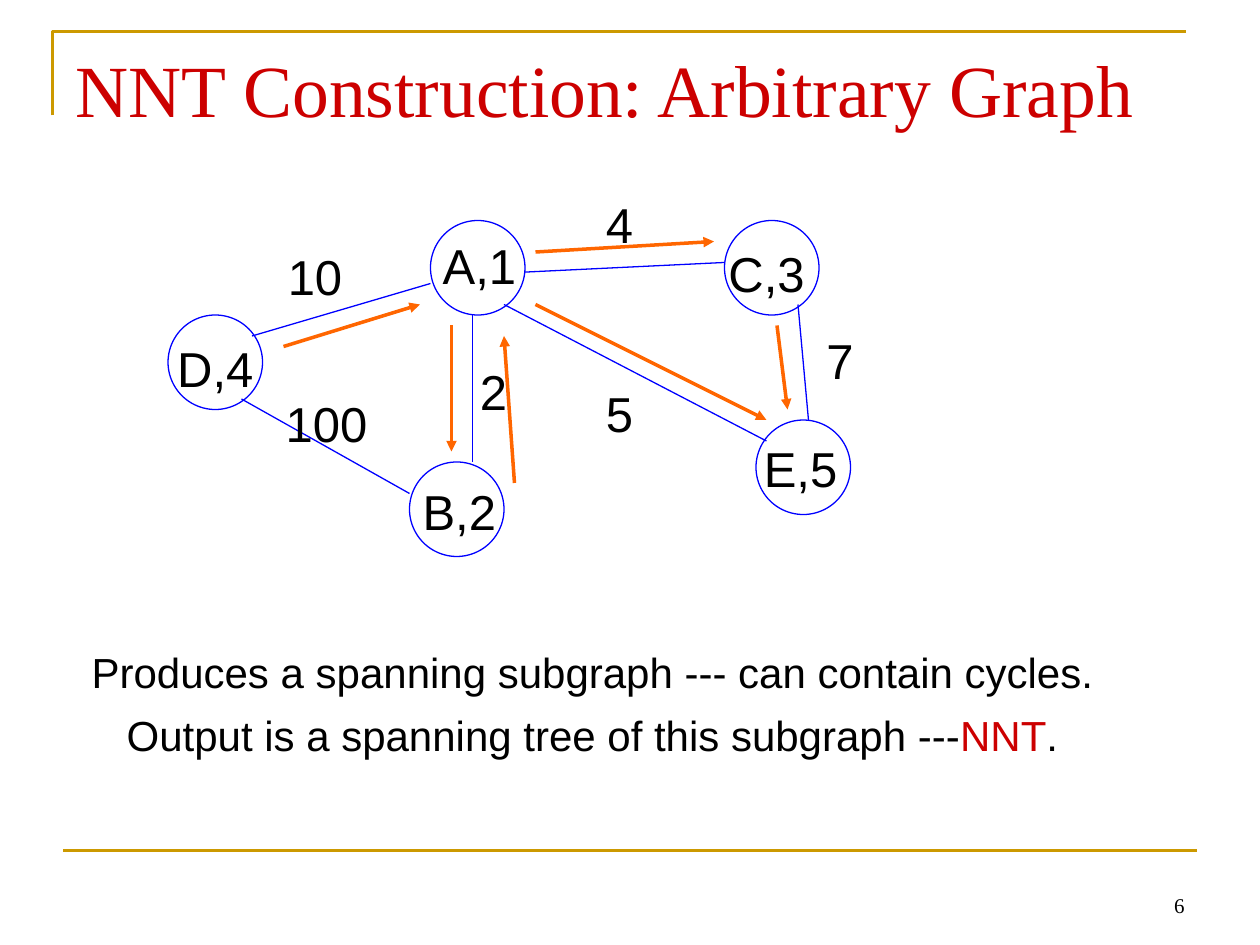
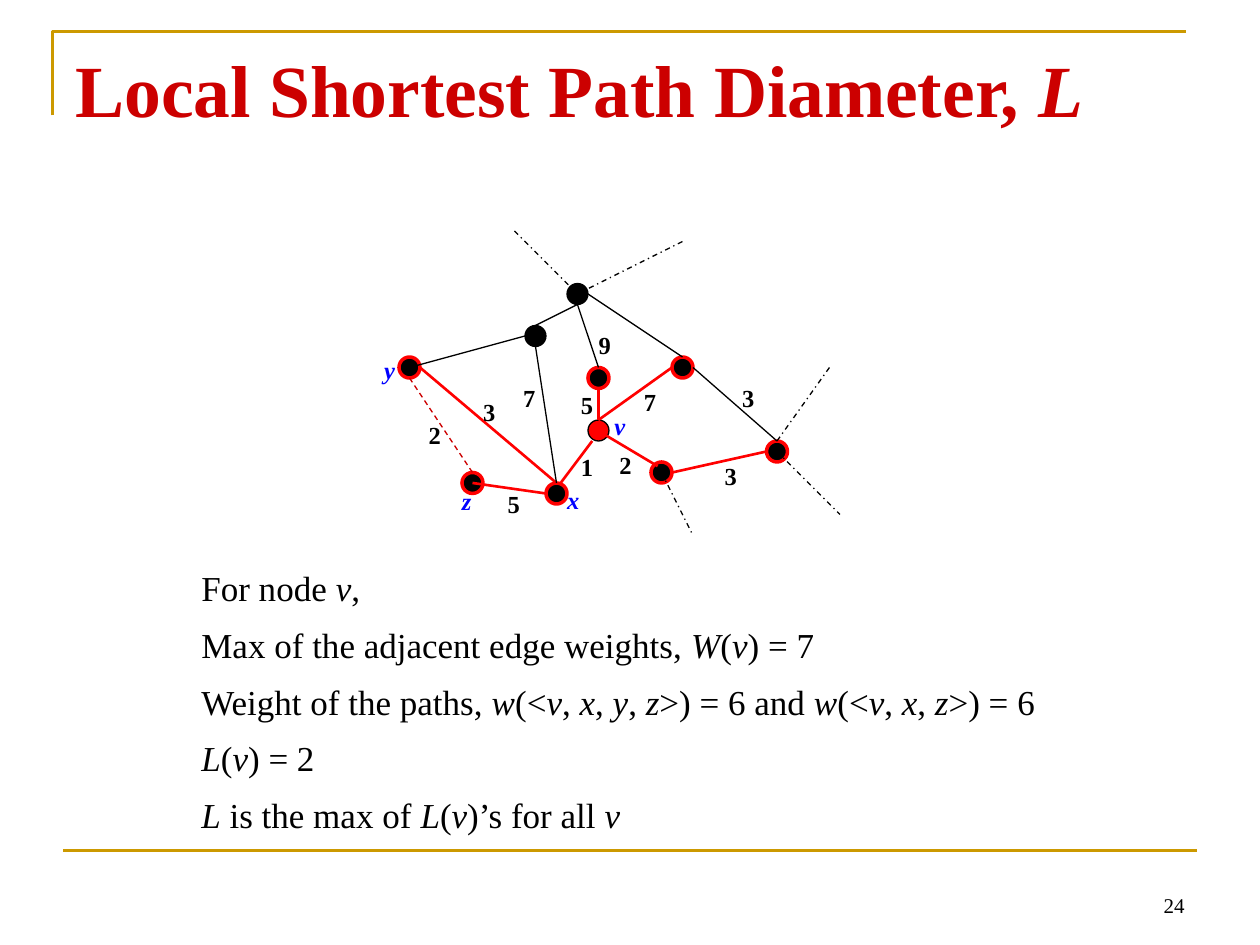
import pptx
import pptx.dml.color
import pptx.enum.dml
import pptx.enum.shapes
import pptx.enum.text
import pptx.oxml.ns
import pptx.util
from lxml import etree

Pt = pptx.util.Pt
ALIGN = pptx.enum.text.PP_ALIGN
ANCHOR = pptx.enum.text.MSO_ANCHOR
DASH = pptx.enum.dml.MSO_LINE
SERIF, SANS = "Times New Roman", "Arial"
BLACK, BLUE, RED = "000000", "0000FF", "FF0000"
GOLD, CRIMSON, ORANGE = "CC9900", "CC0000", "FF6600"


def rgb(code):
    """Turn a hex string into a colour."""
    return pptx.dml.color.RGBColor.from_string(code)


def add_text(slide, box, text, size=14, font=SERIF, color=BLACK, bold=False, italic=False,
             align=ALIGN.LEFT, anchor=ANCHOR.TOP, margins=(7.2, 3.6), wrap=True,
             gap=0, spacing=1.0, emphasis=None):
    """Place text line by line in a box, giving parts between asterisks the emphasis format."""
    frame = slide.shapes.add_textbox(*map(Pt, box)).text_frame
    frame.word_wrap, frame.vertical_anchor = wrap, anchor
    frame.margin_left = frame.margin_right = Pt(margins[0])
    frame.margin_top = frame.margin_bottom = Pt(margins[1])
    for row, line in enumerate(text.split("\n")):
        paragraph = frame.add_paragraph() if row else frame.paragraphs[0]
        paragraph.alignment, paragraph.line_spacing = align, spacing
        paragraph.space_before = Pt(gap if row else 0)
        for part, words in enumerate(line.split("*")):
            if not words:
                continue
            style = {"color": color, "italic": italic}
            if part % 2:
                style.update(emphasis or {"italic": True})
            run = paragraph.add_run()
            run.text = words
            run.font.name, run.font.size = font, Pt(size)
            run.font.bold, run.font.italic = bold, style["italic"]
            run.font.color.rgb = rgb(style["color"])


def add_line(slide, origin, ends, color, width=0.75, dash=None, arrow=False):
    """Draw a straight line between two points measured from the origin."""
    left, top = origin
    x1, y1, x2, y2 = ends
    line = slide.shapes.add_connector(
        pptx.enum.shapes.MSO_CONNECTOR.STRAIGHT,
        Pt(left + x1), Pt(top + y1), Pt(left + x2), Pt(top + y2))
    line.line.color.rgb, line.line.width = rgb(color), Pt(width)
    if dash:
        line.line.dash_style = dash
    properties = line._element.spPr
    if arrow:
        etree.SubElement(line.line._get_or_add_ln(), pptx.oxml.ns.qn("a:tailEnd"), type="triangle")
    etree.SubElement(properties, pptx.oxml.ns.qn("a:effectLst"))


def add_node(slide, origin, place, size, outline, width=0.75, fill=None):
    """Draw a round graph node, hollow unless a fill is given."""
    node = slide.shapes.add_shape(
        pptx.enum.shapes.MSO_SHAPE.OVAL,
        Pt(origin[0] + place[0]), Pt(origin[1] + place[1]), Pt(size), Pt(size))
    node.shadow.inherit = False
    node.line.color.rgb, node.line.width = rgb(outline), Pt(width)
    if fill:
        node.fill.solid()
        node.fill.fore_color.rgb = rgb(fill)
    else:
        node.fill.background()


def add_framed_slide(deck, title, number, bold=False):
    """Add a slide with the gold rules, title and page number."""
    slide = deck.slides.add_slide(deck.slide_layouts[6])
    outline = slide.shapes.build_freeform(Pt(30), Pt(66))
    outline.add_line_segments([(Pt(30), Pt(18)), (Pt(678), Pt(18))], close=False)
    corner = outline.convert_to_shape()
    corner.shadow.inherit = False
    corner.fill.background()
    corner.line.color.rgb, corner.line.width = rgb(GOLD), Pt(1.5)
    add_line(slide, (36, 486), (0, 0, 648, 0), GOLD, 1.5)
    add_text(slide, (36, 21.6, 648, 90), title, size=42, color=CRIMSON, bold=bold)
    add_text(slide, (516, 492, 168, 36), number, size=12, align=ALIGN.RIGHT, anchor=ANCHOR.BOTTOM)
    return slide


def draw_ranked_graph(slide, origin):
    """Draw the five ranked nodes, their weighted edges and the chosen directions."""
    for place in [(0, 72), (150, 18), (138, 156), (318, 18), (336, 132)]:
        add_node(slide, origin, place, 54, BLUE)
    edges = [(48, 84, 150, 54), (204, 47.5, 318, 42), (42, 120, 138, 174),
             (360, 66, 366, 132), (174, 72, 174, 156), (192, 66, 342, 144)]
    for ends in edges:
        add_line(slide, origin, ends, BLUE)
    labels = [("A,1", 178, 43.5), ("B,2", 166.5, 184), ("C,3", 342, 48), ("D,4", 27, 102),
              ("E,5", 361.5, 159.5), ("10", 84, 49.5), ("100", 90.5, 133.5), ("4", 258, 20),
              ("7", 384, 97.5), ("5", 258, 128), ("2", 186, 115.5)]
    width, height = 84, 41
    for label, x, y in labels:
        box = (origin[0] + x - width / 2, origin[1] + y - height / 2, width, height)
        add_text(slide, box, label, size=28, font=SANS, align=ALIGN.CENTER,
                 anchor=ANCHOR.MIDDLE, wrap=False)
    directions = [(66, 90, 144, 66), (210, 66, 342, 132), (210, 36, 312, 30),
                  (348, 78, 354, 126), (198, 168, 192, 84), (162, 78, 162, 150)]
    for ends in directions:
        add_line(slide, origin, ends, ORANGE, 2, arrow=True)


def draw_path_graph(slide, origin):
    """Draw node v with its neighbourhood, shortest paths and edge weights."""
    add_node(slide, origin, (120, 108), 12, BLACK, fill=RED)
    for place in [(84, 54), (108, 30)]:
        add_node(slide, origin, place, 12, BLACK, fill=BLACK)
    reached = [(222, 120), (168, 72), (156, 132), (96, 144), (120, 78), (12, 72), (48, 138)]
    for place in reached:
        add_node(slide, origin, place, 12, RED, 2, BLACK)

    shortest = [(129.6, 116.4, 159.8, 134.4), (126, 108, 168, 78), (126, 90, 126, 108),
                (122.4, 120, 104.4, 144), (168, 138, 222, 126), (24, 78, 102, 144),
                (96, 150, 54, 144)]
    other = [(180, 78, 228, 120), (126, 78, 114, 42), (114, 42, 90, 54),
             (120, 36, 174, 72), (18, 78, 84, 60), (90, 66, 102, 144)]
    outward = [(162, 138, 180, 174), (228, 120, 258, 78), (228, 126, 264, 162),
               (174, 6, 114, 36), (78, 0, 114, 36)]
    skipped = [(18, 84, 54, 138)]
    for edges, color, width, dash in [(shortest, RED, 1.5, None), (other, BLACK, 0.75, None),
                                      (skipped, CRIMSON, 0.75, DASH.DASH),
                                      (outward, BLACK, 0.75, DASH.DASH_DOT)]:
        for ends in edges:
            add_line(slide, origin, ends, color, width, dash)

    weights = [("7", 152, 89), ("5", 116, 91), ("3", 208, 87), ("7", 83, 87), ("3", 60, 95),
               ("2", 29, 108), ("5", 74, 147.5), ("3", 198, 131.5), ("1", 116, 126.5),
               ("2", 138, 125), ("9", 126, 56.5)]
    names = [("v", 135, 103), ("x", 108, 145), ("z", 48, 146), ("y", 3.5, 71)]
    for labels, color, italic in [(weights, BLACK, False), (names, BLUE, True)]:
        for label, x, y in labels:
            add_text(slide, (origin[0] + x, origin[1] + y, 7, 17), label, color=color,
                     bold=True, italic=italic, margins=(0, 0), wrap=False)


def build_construction_slide(deck):
    """Build the slide on constructing the tree in an arbitrary graph."""
    slide = add_framed_slide(deck, "NNT Construction: Arbitrary Graph", "6")
    draw_ranked_graph(slide, (96, 108))
    conclusion = ("Produces a spanning subgraph --- can contain cycles.\n"
                  "Output is a spanning tree of this subgraph ---*NNT*.")
    add_text(slide, (24, 366, 629, 71), conclusion, size=24, font=SANS, align=ALIGN.CENTER,
             gap=7.2, emphasis={"color": CRIMSON})


def build_diameter_slide(deck):
    """Build the slide defining the local shortest path diameter."""
    slide = add_framed_slide(deck, "Local Shortest Path Diameter, *L*", "24", bold=True)
    draw_path_graph(slide, (216, 132))
    definition = ("For node *v*,\n"
                  "Max of the adjacent edge weights, *W*(*v*) = 7\n"
                  "Weight of the paths, *w*(<*v*, *x*, *y*, *z*>) = 6 and *w*(<*v*, *x*, *z*>) = 6\n"
                  "*L*(*v*) = 2\n"
                  "*L* is the max of *L*(*v*)’s for all *v*")
    add_text(slide, (108, 318, 534, 168), definition, size=20, gap=6, spacing=1.1)


def main():
    """Build and save the deck."""
    deck = pptx.Presentation()
    deck.slide_width, deck.slide_height = Pt(720), Pt(540)
    build_construction_slide(deck)
    build_diameter_slide(deck)
    deck.save("out.pptx")


if __name__ == "__main__":
    main()
